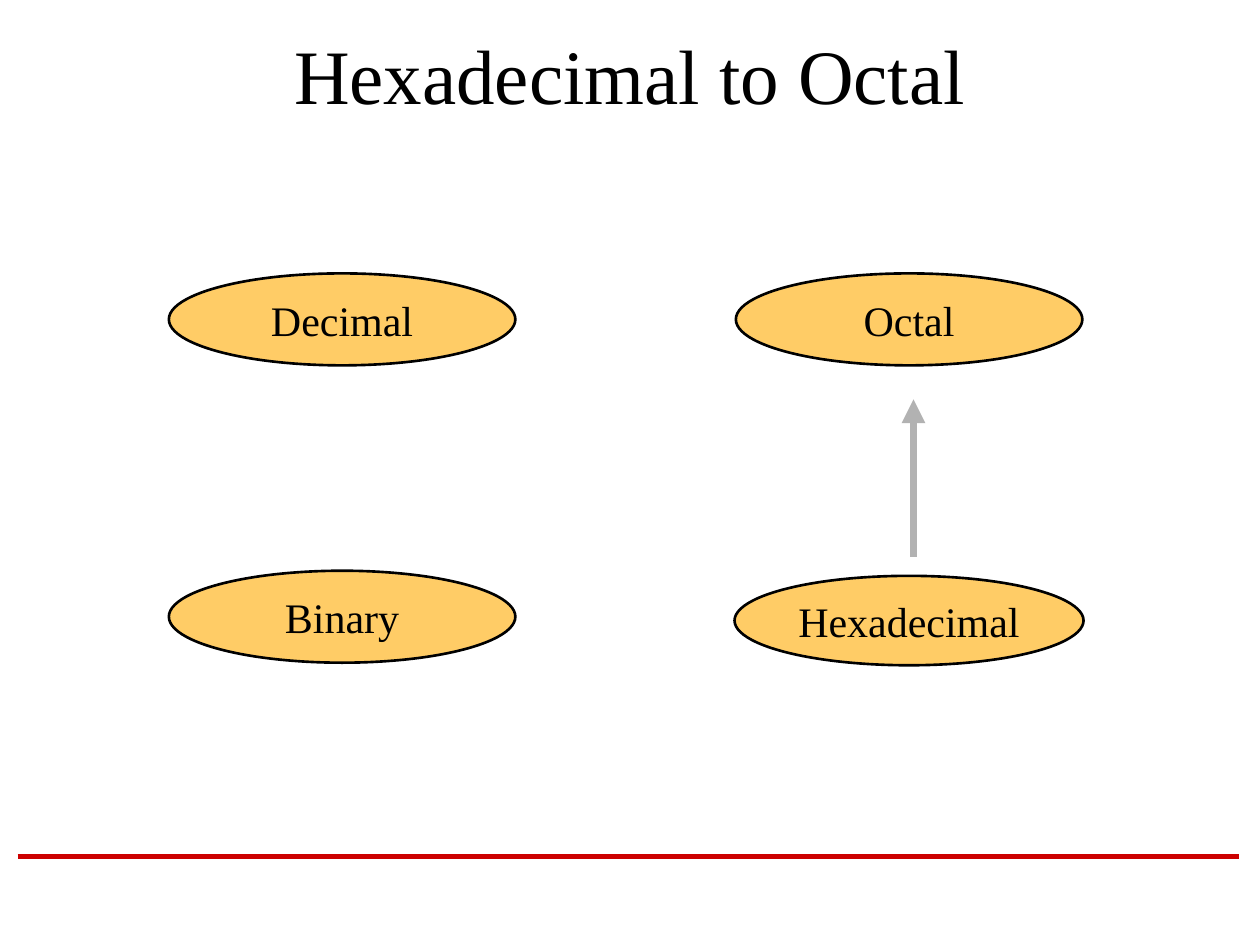
from typing import NamedTuple

from lxml import etree
from pptx import Presentation
from pptx.dml.color import RGBColor
from pptx.enum import shapes, text
from pptx.oxml.ns import qn
from pptx.util import Inches, Pt

FONT = "Times New Roman"
COLORS = {"rule": "CC0000", "oval": "FFCC66", "ink": "000000", "arrow": "B2B2B2"}


class Oval(NamedTuple):
    label: str
    left: float
    top: float
    width: float = 2.75
    height: float = 0.73


class Line(NamedTuple):
    start: tuple[float, float]
    end: tuple[float, float]
    color: str
    weight: float
    arrow: bool = False


OVALS = [
    Oval("Hexadecimal", 5.83, 4.57, 2.77, 0.71),
    Oval("Decimal", 1.34, 2.17),
    Oval("Octal", 5.84, 2.17),
    Oval("Binary", 1.34, 4.53),
]
RULE = Line((0.14, 6.8), (9.83, 6.8), "rule", 3)
ARROW = Line((7.25, 4.42), (7.25, 3.17), "arrow", 4.5, arrow=True)


def rgb(name: str) -> RGBColor:
    return RGBColor.from_string(COLORS[name])


def write(sp, content: str, size: float) -> None:
    """Put centred text in the middle of a shape."""
    tf = sp.text_frame
    tf.text = content
    tf.vertical_anchor = text.MSO_ANCHOR.MIDDLE
    p = tf.paragraphs[0]
    p.alignment = text.PP_ALIGN.CENTER
    font = p.runs[0].font
    font.name, font.size = FONT, Pt(size)
    font.color.rgb = rgb("ink")


def draw_oval(slide, oval: Oval) -> None:
    box = map(Inches, oval[1:])
    sp = slide.shapes.add_shape(shapes.MSO_SHAPE.OVAL, *box)
    sp.shadow.inherit = False
    sp.fill.solid()
    sp.fill.fore_color.rgb = rgb("oval")
    sp.line.color.rgb = rgb("ink")
    sp.line.width = Pt(1.5)
    write(sp, oval.label, 24)
    sp.text_frame.word_wrap = False


def draw_line(slide, line: Line) -> None:
    ends = map(Inches, line.start + line.end)
    cxn = slide.shapes.add_connector(shapes.MSO_CONNECTOR.STRAIGHT, *ends)
    cxn.line.color.rgb = rgb(line.color)
    cxn.line.width = Pt(line.weight)
    if line.arrow:
        etree.SubElement(cxn.line._get_or_add_ln(), qn("a:tailEnd"), type="triangle")
    etree.SubElement(cxn._element.spPr, qn("a:effectLst"))


def main() -> None:
    prs = Presentation()
    prs.slide_width, prs.slide_height = Inches(10), Inches(7.5)
    slide = prs.slides.add_slide(prs.slide_layouts[5])

    title = slide.shapes.title
    title.left, title.top = Inches(0.75), Inches(0.17)
    title.width, title.height = Inches(8.5), Inches(0.83)
    write(title, "Hexadecimal to Octal", 44)

    draw_line(slide, RULE)
    for oval in OVALS:
        draw_oval(slide, oval)
    draw_line(slide, ARROW)
    prs.save("out.pptx")


if __name__ == "__main__":
    main()
